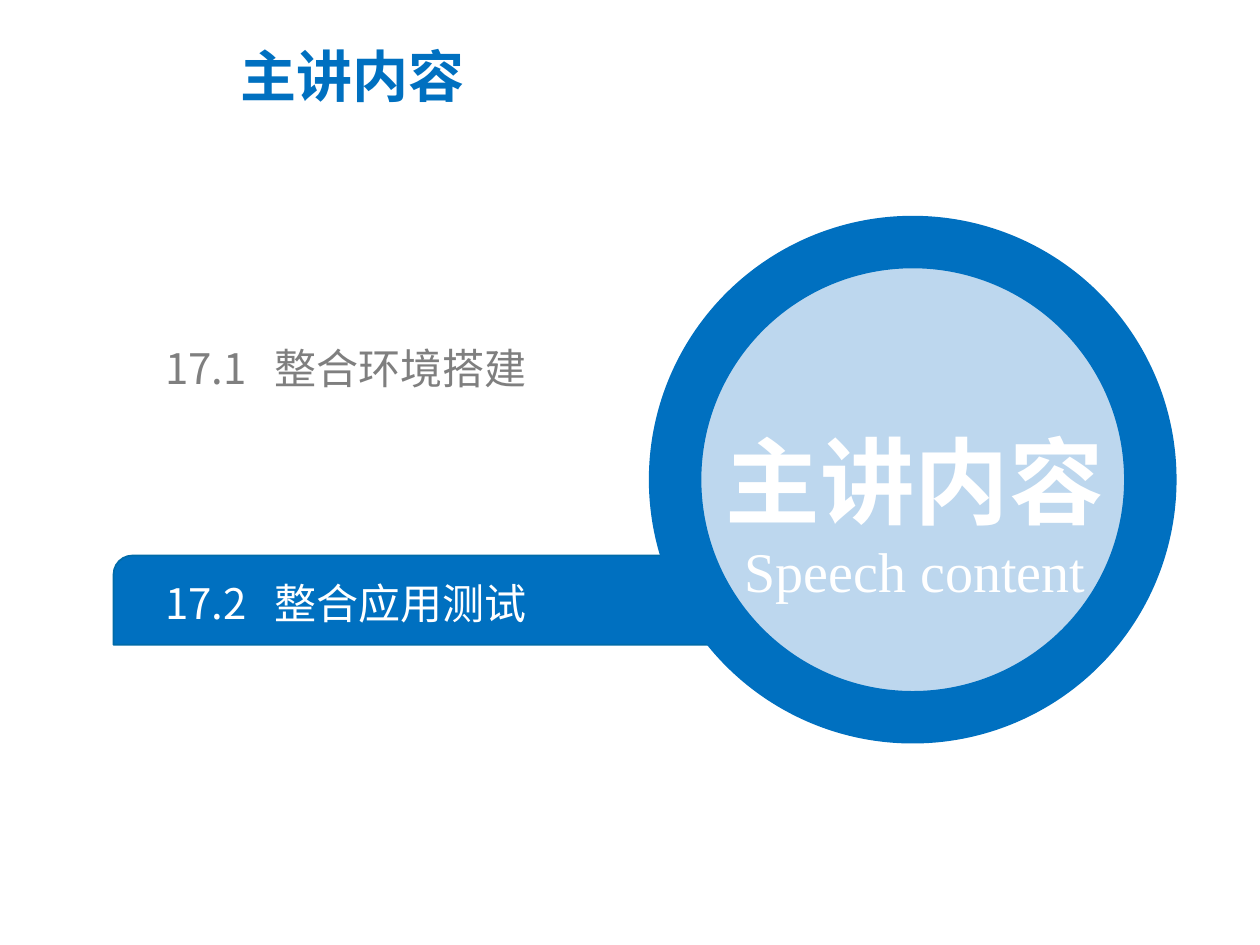
from dataclasses import dataclass

from lxml.etree import SubElement
from pptx import Presentation
from pptx.dml.color import RGBColor as Rgb
from pptx.enum.shapes import MSO_SHAPE as Shape
from pptx.enum.text import MSO_ANCHOR as Anchor, MSO_AUTO_SIZE as AutoSize, PP_ALIGN as Align
from pptx.oxml.ns import qn
from pptx.util import Cm, Pt


@dataclass(frozen=True)
class Theme:
    blue: str = "0070C0"
    edge: str = "006BA9"
    pale: str = "BDD7EE"
    gray: str = "7F7F7F"
    white: str = "FFFFFF"
    sans: str = "Noto Sans CJK SC"
    serif: str = "Times New Roman"
    hero_size: int = 54
    title_size: int = 32
    item_size: int = 24


def write(para, text, *, font, size, color, bold=False, align=Align.LEFT, spacing=1.0, tab=None):
    """Put one formatted run into a paragraph; tab is an optional stop in cm."""
    para.alignment = align
    para.line_spacing = spacing
    if tab:
        stops = SubElement(para._p.get_or_add_pPr(), qn("a:tabLst"))
        SubElement(stops, qn("a:tab"), pos=str(Cm(tab)), algn="l")
    span = para.add_run()
    span.text = text
    span.font.size = Pt(size)
    span.font.bold = bold
    span.font.color.rgb = Rgb.from_string(color)
    span.font.name = font
    SubElement(span._r.get_or_add_rPr(), qn("a:ea"), typeface=font)


class SlideBuilder:
    def __init__(self, deck, theme):
        self.theme = theme
        self.page = deck.slides.add_slide(deck.slide_layouts[5])

    def title(self, text, left, top, width, height):
        box = self.page.shapes.title
        box.left, box.top, box.width, box.height = map(Cm, (left, top, width, height))
        frame = box.text_frame
        frame.vertical_anchor = Anchor.TOP
        frame.auto_size = AutoSize.NONE
        write(frame.paragraphs[0], text, font=self.theme.sans, size=self.theme.title_size,
              color=self.theme.blue, bold=True, spacing=0.9)

    def shape(self, kind, left, top, width, height, *, fill, line, weight):
        shape = self.page.shapes.add_shape(kind, *map(Cm, (left, top, width, height)))
        shape.shadow.inherit = False
        shape.fill.solid()
        shape.fill.fore_color.rgb = Rgb.from_string(fill)
        shape.line.color.rgb = Rgb.from_string(line)
        shape.line.width = Pt(weight)
        return shape

    def text_frame(self, left, top, width, height, *, inset=True):
        box = self.page.shapes.add_textbox(*map(Cm, (left, top, width, height)))
        frame = box.text_frame
        frame.word_wrap = True
        frame.auto_size = AutoSize.SHAPE_TO_FIT_TEXT
        frame.vertical_anchor = Anchor.MIDDLE
        if not inset:
            frame.margin_left = frame.margin_right = 0
            frame.margin_top = frame.margin_bottom = 0
        return frame

    def agenda_item(self, number, text, top, width, color):
        frame = self.text_frame(3.33, top, width, 1.02, inset=False)
        write(frame.paragraphs[0], f"{number}\t{text}", font=self.theme.sans,
              size=self.theme.item_size, color=color, tab=2.21)


def main():
    theme = Theme()
    deck = Presentation()
    deck.slide_width, deck.slide_height = Cm(25.4), Cm(19.05)
    slide = SlideBuilder(deck, theme)

    # Heading
    slide.title("主讲内容", 4.6, 0.86, 15.62, 2.16)

    # Highlight bar running under the ring
    bar = slide.shape(Shape.ROUND_2_DIAG_RECTANGLE, 2.29, 11.2, 15.9, 1.8,
                      fill=theme.blue, line=theme.edge, weight=1)
    bar.adjustments[0] = 0.21
    slide.shape(Shape.OVAL, 13.61, 4.88, 9.58, 9.58,
                fill=theme.pale, line=theme.blue, weight=30)

    # Caption inside the ring
    caption = slide.text_frame(13.49, 7.26, 9.91, 5.05)
    write(caption.paragraphs[0], "主讲内容", font=theme.sans, size=theme.hero_size,
          color=theme.white, bold=True, align=Align.CENTER, spacing=1.5)
    write(caption.add_paragraph(), "Speech content", font=theme.serif, size=theme.title_size,
          color=theme.white, align=Align.CENTER)

    # Agenda, with the current item on the bar
    slide.agenda_item("17.1", "整合环境搭建", 6.91, 12.09, theme.gray)
    slide.agenda_item("17.2", "整合应用测试", 11.63, 10.54, theme.white)

    deck.save("out.pptx")


if __name__ == "__main__":
    main()
